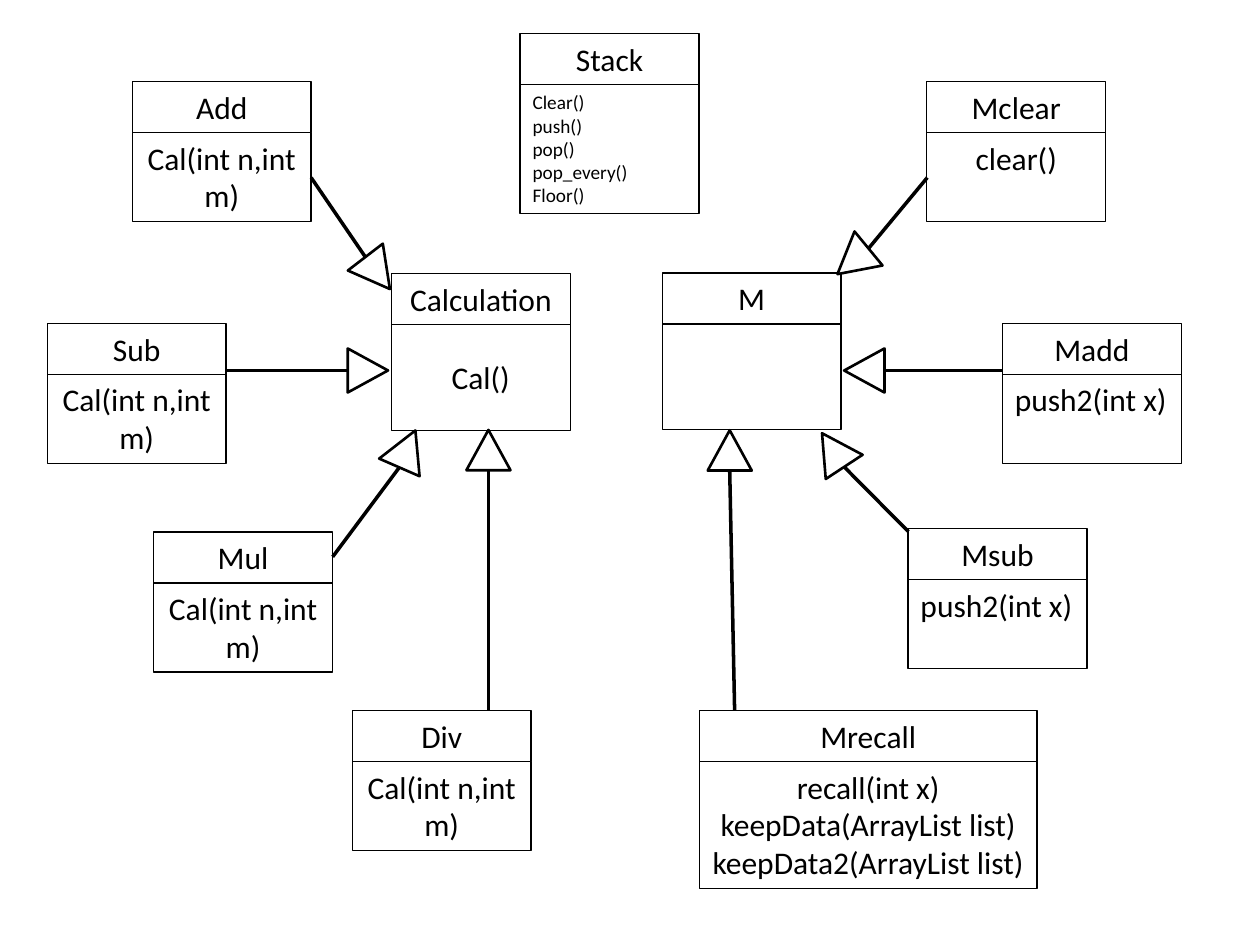
from math import cos, radians, sin

from lxml.etree import SubElement
from pptx import Presentation
from pptx.dml.color import RGBColor
from pptx.enum.shapes import MSO_CONNECTOR, MSO_SHAPE
from pptx.enum.text import MSO_ANCHOR, PP_ALIGN
from pptx.oxml.ns import qn
from pptx.util import Pt

BLACK = RGBColor(0x00, 0x00, 0x00)
WHITE = RGBColor(0xFF, 0xFF, 0xFF)
FONT = "Calibri"

BOX_WIDTH, NAME_HEIGHT = 102.2, 29.1
HEAD_WIDTH, HEAD_HEIGHT = 25.2, 23.04
CAL = ["Cal(int n,int m)"]

# name, left, top, width, body height, methods, alignment, method size
CLASSES = [
    ("Stack", 297.2, 19.2, BOX_WIDTH, 73.8,
     ["Clear()", "push()", "pop()", "pop_every()", "Floor()"], PP_ALIGN.LEFT, 11),
    ("M", 378.4, 156, BOX_WIDTH, 60.5, [], PP_ALIGN.CENTER, 18),
    ("Msub", 518.9, 302.1, BOX_WIDTH, 50.9, ["push2(int x)"], PP_ALIGN.LEFT, 18),
    ("Madd", 572.8, 184.8, BOX_WIDTH, 50.9, ["push2(int x)"], PP_ALIGN.LEFT, 18),
    ("Mclear", 529.6, 46.6, BOX_WIDTH, 50.9, ["clear()"], PP_ALIGN.CENTER, 18),
    ("Mul", 87.8, 304, BOX_WIDTH, 50.9, CAL, PP_ALIGN.CENTER, 18),
    ("Add", 75.6, 46.6, BOX_WIDTH, 50.9, CAL, PP_ALIGN.CENTER, 18),
    ("Sub", 27, 184.8, BOX_WIDTH, 50.9, CAL, PP_ALIGN.CENTER, 18),
    ("Calculation", 223.7, 156.4, BOX_WIDTH, 60.5, [], PP_ALIGN.CENTER, 18),
    ("Div", 201.3, 406, BOX_WIDTH, 50.9, CAL, PP_ALIGN.CENTER, 18),
    ("Mrecall", 399.6, 406, 193, 72.7,
     ["recall(int x)", "keepData(ArrayList list)", "keepData2(ArrayList list)"],
     PP_ALIGN.CENTER, 18),
]

# start at the subclass, middle of the head's base, head rotation
INHERITANCES = [
    ((529.9, 101.5), (496.3, 142), 230.5),     # Mclear to M
    ((572.8, 211.7), (505.4, 211.7), 270),     # Madd to M
    ((519.1, 303.8), (482.4, 266.8), 326.7),   # Msub to M
    ((419.8, 406), (417, 268.9), 0),           # Mrecall to M
    ((279.1, 406), (279.1, 268.7), 0),         # Div to Calculation
    ((190.1, 318.2), (228.2, 267.1), 23.5),    # Mul to Calculation
    ((128.9, 211.7), (198.7, 211.7), 90),      # Sub to Calculation
    ((177.8, 101.5), (208.8, 146.9), 142.5),   # Add to Calculation
]


def write_text(shape, lines, alignment, size):
    frame = shape.text_frame
    frame.word_wrap = True
    frame.vertical_anchor = MSO_ANCHOR.TOP
    frame.text = "\n".join(lines)
    for para in frame.paragraphs:
        para.alignment = alignment
        for span in para.runs:
            span.font.name = FONT
            span.font.size = Pt(size)
            span.font.color.rgb = BLACK


def add_compartment(group, left, top, width, height, lines, alignment, size):
    box = group.shapes.add_shape(
        MSO_SHAPE.RECTANGLE, Pt(left), Pt(top), Pt(width), Pt(height))
    box.shadow.inherit = False
    box.fill.background()
    box.line.color.rgb = BLACK
    box.line.width = Pt(0.75)
    write_text(box, lines, alignment, size)


def add_class(page, name, left, top, width, body_height, methods, alignment, size):
    group = page.shapes.add_group_shape()
    add_compartment(group, left, top, width, NAME_HEIGHT,
                    [name], PP_ALIGN.CENTER, 18)
    add_compartment(group, left, top + NAME_HEIGHT, width, body_height,
                    methods, alignment, size)


def add_inheritance(page, start, base, rotation):
    group = page.shapes.add_group_shape()
    # The head's centre lies half its height beyond the base
    angle = radians(rotation)
    centre_x = base[0] + HEAD_HEIGHT / 2 * sin(angle)
    centre_y = base[1] - HEAD_HEIGHT / 2 * cos(angle)
    head = group.shapes.add_shape(
        MSO_SHAPE.ISOSCELES_TRIANGLE,
        Pt(centre_x - HEAD_WIDTH / 2), Pt(centre_y - HEAD_HEIGHT / 2),
        Pt(HEAD_WIDTH), Pt(HEAD_HEIGHT))
    head.rotation = rotation
    head.shadow.inherit = False
    head.fill.solid()
    head.fill.fore_color.rgb = WHITE
    head.line.color.rgb = BLACK
    head.line.width = Pt(1.5)

    stem = group.shapes.add_connector(
        MSO_CONNECTOR.STRAIGHT, Pt(base[0]), Pt(base[1]), Pt(start[0]), Pt(start[1]))
    stem.line.color.rgb = BLACK
    stem.line.width = Pt(2)
    SubElement(stem._element.spPr, qn("a:effectLst"))


def main():
    deck = Presentation()
    deck.slide_width, deck.slide_height = Pt(720), Pt(540)
    page = deck.slides.add_slide(deck.slide_layouts[6])

    # Class boxes
    for entry in CLASSES:
        add_class(page, *entry)

    # Inheritance arrows
    for start, base, rotation in INHERITANCES:
        add_inheritance(page, start, base, rotation)

    # Method of Calculation
    label = page.shapes.add_textbox(Pt(239.8), Pt(200.9), Pt(69.8), Pt(NAME_HEIGHT))
    write_text(label, ["Cal()"], PP_ALIGN.CENTER, 18)

    deck.save("out.pptx")


if __name__ == "__main__":
    main()
